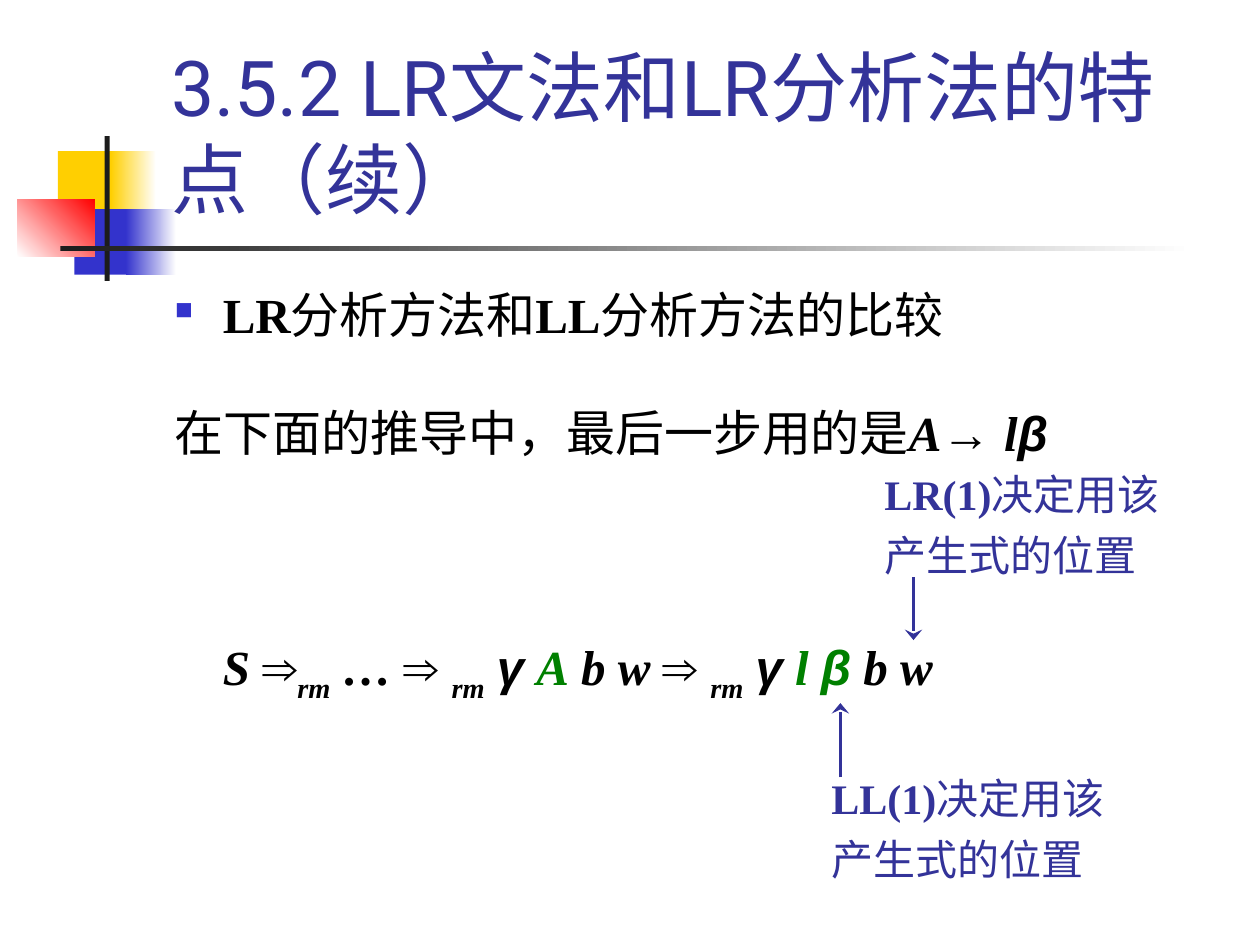
from dataclasses import dataclass
from typing import Optional

from lxml import etree
from pptx import Presentation
from pptx.dml.color import RGBColor
from pptx.enum.shapes import MSO_CONNECTOR, MSO_SHAPE
from pptx.enum.text import MSO_ANCHOR
from pptx.oxml.ns import qn
from pptx.util import Inches, Pt

WHITE = RGBColor(0xFF, 0xFF, 0xFF)
BLACK = RGBColor(0x00, 0x00, 0x00)
CHARCOAL = RGBColor(0x1C, 0x1C, 0x1C)
YELLOW = RGBColor(0xFF, 0xCF, 0x01)
RED = RGBColor(0xFF, 0x00, 0x00)
BLUE = RGBColor(0x33, 0x33, 0xCC)
INDIGO = RGBColor(0x33, 0x33, 0x99)
GREEN = RGBColor(0x00, 0x80, 0x00)

CHINESE = "Noto Sans CJK SC"
SERIF = "Times New Roman"
SANS = "Arial"
TITLE = "Roboto"


@dataclass
class Block:
    left: float
    top: float
    width: float
    height: float
    start: RGBColor
    end: Optional[RGBColor] = None
    angle: float = 0


@dataclass
class TextRun:
    text: str
    font: str = CHINESE
    bold: bool = False
    italic: bool = False
    color: RGBColor = BLACK
    subscript: bool = False


@dataclass
class Label:
    left: float
    top: float
    method: str


@dataclass
class Arrow:
    x: float
    tail: float
    tip: float


def variable(text: str, color: RGBColor = BLACK) -> TextRun:
    return TextRun(text, SERIF, True, True, color)


def greek(text: str, color: RGBColor = BLACK) -> TextRun:
    return TextRun(text, SANS, True, True, color)


def operator(text: str) -> TextRun:
    return TextRun(text, SANS, True)


def rightmost() -> TextRun:
    return TextRun("rm", SERIF, True, True, subscript=True)


def add_block(slide, block: Block) -> None:
    shape = slide.shapes.add_shape(
        MSO_SHAPE.RECTANGLE, Inches(block.left), Inches(block.top),
        Inches(block.width), Inches(block.height))
    shape.shadow.inherit = False
    shape.line.fill.background()
    if block.end is None:
        shape.fill.solid()
        shape.fill.fore_color.rgb = block.start
        return
    shape.fill.gradient()
    shape.fill.gradient_angle = block.angle
    for stop, color in zip(shape.fill.gradient_stops, (block.start, block.end)):
        stop.color.rgb = color


def add_text_frame(slide, left: float, top: float, width: float, height: float,
                   wrap: bool = True):
    box = slide.shapes.add_textbox(
        Inches(left), Inches(top), Inches(width), Inches(height))
    box.text_frame.word_wrap = wrap
    return box.text_frame


def add_runs(paragraph, runs: list[TextRun], size: float) -> None:
    for item in runs:
        run = paragraph.add_run()
        run.text = item.text
        font = run.font
        font.size, font.name = Pt(size), item.font
        font.bold, font.italic = item.bold, item.italic
        font.color.rgb = item.color
        properties = run._r.get_or_add_rPr()
        etree.SubElement(properties, qn("a:ea"), typeface=item.font)
        if item.subscript:
            properties.set("baseline", "-25000")


def set_indent(paragraph, margin: float, first: float):
    properties = paragraph._p.get_or_add_pPr()
    properties.set("marL", str(Inches(margin)))
    properties.set("indent", str(Inches(first)))
    return properties


def add_bullet(properties, color: RGBColor) -> None:
    bullet_color = etree.SubElement(properties, qn("a:buClr"))
    etree.SubElement(bullet_color, qn("a:srgbClr"), val=str(color))
    etree.SubElement(properties, qn("a:buSzPct"), val="50000")
    etree.SubElement(properties, qn("a:buChar"), char="■")


def add_label(slide, label: Label) -> None:
    frame = add_text_frame(slide, label.left, label.top, 2.58, 1.08, wrap=False)
    add_runs(frame.paragraphs[0], [
        TextRun(label.method, SERIF, True, color=INDIGO),
        TextRun("决定用该", color=INDIGO)], 24)
    second = frame.add_paragraph()
    second.space_before = Pt(6)
    add_runs(second, [TextRun("产生式的位置", color=INDIGO)], 24)


def add_arrow(slide, arrow: Arrow) -> None:
    connector = slide.shapes.add_connector(
        MSO_CONNECTOR.STRAIGHT, Inches(arrow.x), Inches(arrow.tail),
        Inches(arrow.x), Inches(arrow.tip))
    connector.line.color.rgb = INDIGO
    connector.line.width = Pt(2)
    etree.SubElement(connector.line._get_or_add_ln(), qn("a:tailEnd"),
                     type="stealth", w="lg", len="med")
    etree.SubElement(connector._element.spPr, qn("a:effectLst"))


BLOCKS = [
    Block(0.46, 1.2, 0.48, 0.52, YELLOW),
    Block(0.88, 1.2, 0.36, 0.52, YELLOW, WHITE),
    Block(0.59, 1.66, 0.46, 0.52, BLUE),
    Block(1, 1.66, 0.4, 0.52, BLUE, WHITE),
    Block(0.14, 1.58, 0.61, 0.46, WHITE, RED, 45),
    Block(0.83, 1.08, 0.04, 1.15, CHARCOAL),
    Block(0.48, 1.95, 9, 0.04, CHARCOAL, WHITE),
]
HEADING = [
    TextRun("3.5.2 LR", TITLE, color=INDIGO), TextRun("文法和", color=INDIGO),
    TextRun("LR", TITLE, color=INDIGO), TextRun("分析法的特点（续）", color=INDIGO),
]
COMPARISON = [
    TextRun("LR", SERIF, True), TextRun("分析方法和"),
    TextRun("LL", SERIF, True), TextRun("分析方法的比较"),
]
LAST_STEP = [
    TextRun("在下面的推导中，最后一步用的是"),
    variable("A"), operator("→ "), variable("l"), greek("β"),
]
DERIVATION = [
    variable("S "), operator("⇒"), rightmost(), variable(" … "),
    operator("⇒"), variable(" "), rightmost(), variable(" "),
    greek("γ"), variable(" A", GREEN), variable(" b w "),
    operator("⇒"), variable(" "), rightmost(), variable(" "),
    greek("γ"), variable(" l ", GREEN), greek("β", GREEN), variable(" b w"),
]
LABELS = [Label(6.92, 3.67, "LR(1)"), Label(6.5, 6.08, "LL(1)")]
ARROWS = [Arrow(7.25, 4.58, 5.08), Arrow(6.67, 6.17, 5.58)]


def main() -> None:
    presentation = Presentation()
    presentation.slide_width, presentation.slide_height = Inches(10), Inches(7.5)
    slide = presentation.slides.add_slide(presentation.slide_layouts[6])

    # Corner decoration and rule
    for block in BLOCKS:
        add_block(slide, block)

    # Title
    title = add_text_frame(slide, 1.26, 0.23, 8.52, 1.6)
    title.vertical_anchor = MSO_ANCHOR.BOTTOM
    add_runs(title.paragraphs[0], HEADING, 44)

    # Body: bullet, explanation and derivation
    body = add_text_frame(slide, 1.29, 2.21, 8.5, 4.5)
    bullet = body.paragraphs[0]
    add_bullet(set_indent(bullet, 0.38, -0.38), BLUE)
    add_runs(bullet, COMPARISON, 28)
    for runs, margin, gap in ((LAST_STEP, 0, 34), (DERIVATION, 0.38, 100)):
        paragraph = body.add_paragraph()
        set_indent(paragraph, margin, 0)
        paragraph.space_before = Pt(gap)
        add_runs(paragraph, runs, 28)

    # Notes on where each method decides
    for label in LABELS:
        add_label(slide, label)
    for arrow in ARROWS:
        add_arrow(slide, arrow)

    presentation.save("out.pptx")


if __name__ == "__main__":
    main()
